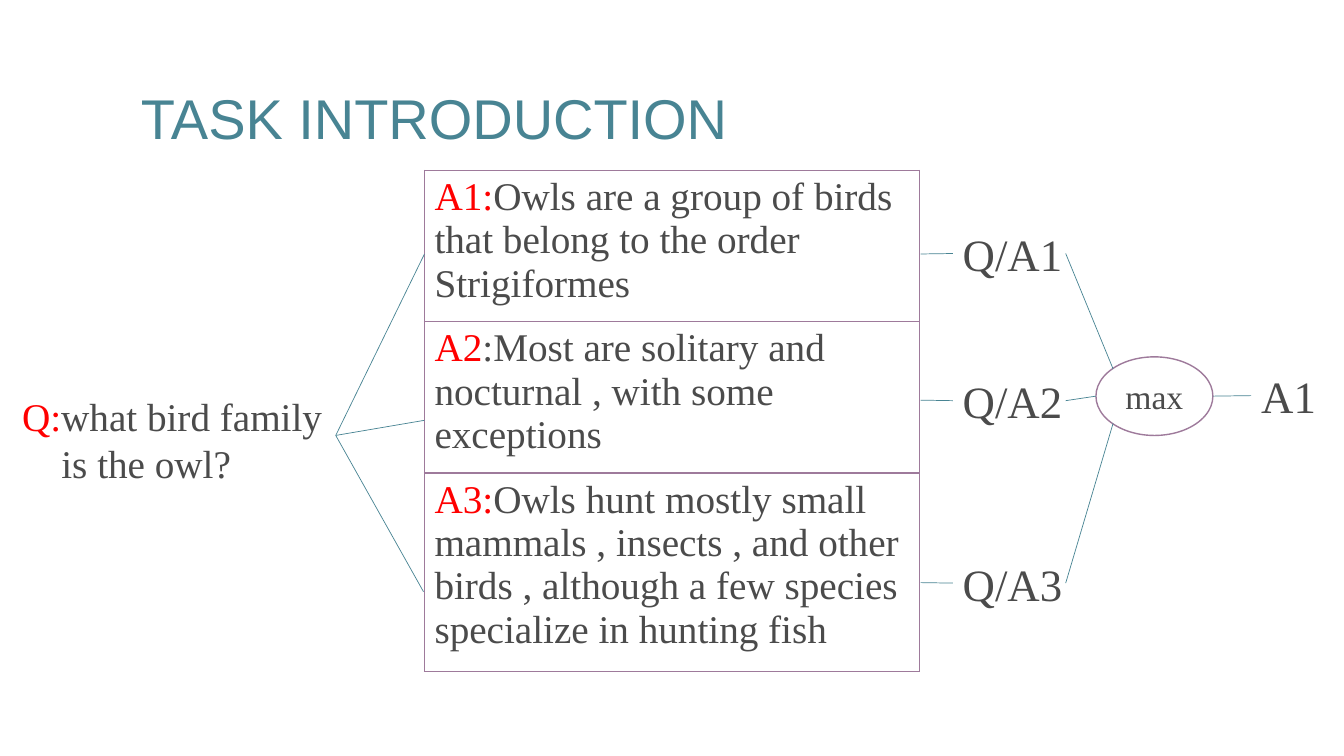
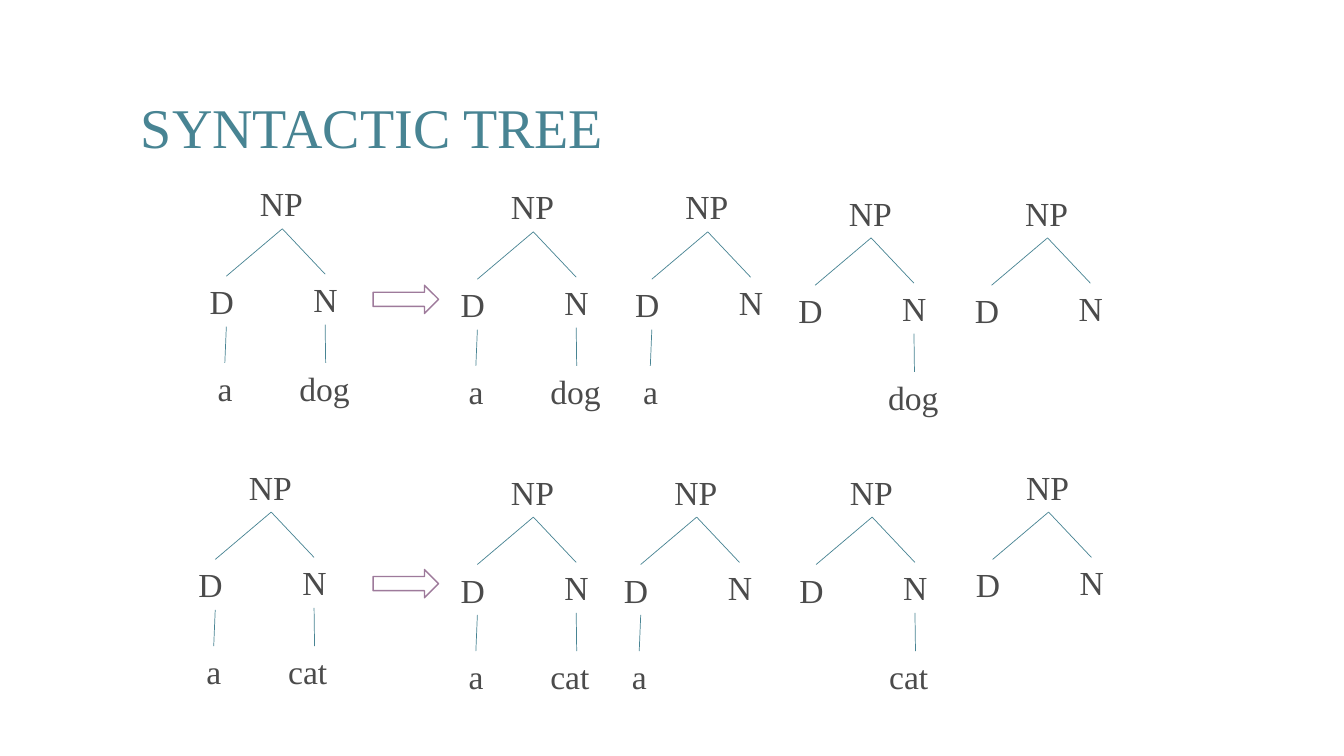
from lxml import etree
from pptx import Presentation
from pptx.dml.color import RGBColor
from pptx.enum.shapes import MSO_CONNECTOR, MSO_SHAPE
from pptx.enum.text import MSO_ANCHOR, PP_ALIGN
from pptx.oxml import parse_xml
from pptx.oxml.ns import nsdecls, qn
from pptx.util import Inches, Pt

STRAIGHT = MSO_CONNECTOR.STRAIGHT
OVAL, RIGHT_ARROW = MSO_SHAPE.OVAL, MSO_SHAPE.RIGHT_ARROW
MIDDLE, CENTER = MSO_ANCHOR.MIDDLE, PP_ALIGN.CENTER
TOP, LEFT, BOTTOM, RIGHT = range(4)
TEAL, PLUM, GREY, RED, WHITE = "488493", "9E7A9B", "4B4B4B", "FF0000", "FFFFFF"
SERIF, SANS = "Times New Roman", "Arial"
LEADING = 1.2


def write_text(frame, text, size=24, font=SERIF, color=GREY, lead="", align=None,
               anchor=None, spacing=None, right_inset=None, indent=0):
    frame.word_wrap = True
    if anchor is not None:
        frame.vertical_anchor = anchor
    if right_inset is not None:
        frame.margin_right = Inches(right_inset)
    for index, line in enumerate(text.split("\n")):
        para = frame.add_paragraph() if index else frame.paragraphs[0]
        para.alignment = align
        para.line_spacing = spacing
        if index and indent:
            para._p.get_or_add_pPr().set("marL", str(Inches(indent)))
        for part, part_color in ((lead if index == 0 else "", RED), (line, color)):
            if part:
                span = para.add_run()
                span.text = part
                span.font.size = Pt(size)
                span.font.name = font
                span.font.color.rgb = RGBColor.from_string(part_color)


def draw_line(canvas, start, end):
    points = [(0, 0) if hasattr(stop[0], "shape_id") else stop for stop in (start, end)]
    (x1, y1), (x2, y2) = points
    line = canvas.add_connector(STRAIGHT, Inches(x1), Inches(y1), Inches(x2), Inches(y2))
    if hasattr(start[0], "shape_id"):
        line.begin_connect(*start)
    if hasattr(end[0], "shape_id"):
        line.end_connect(*end)
    line.line.color.rgb = RGBColor.from_string(TEAL)
    line.line.width = Pt(0.5)
    etree.SubElement(line._element.spPr, qn("a:effectLst"))


deck = Presentation()
deck.slide_width, deck.slide_height = Inches(13.33), Inches(7.5)
pages = []
for title, top, font in (("TASK INTRODUCTION", 0.71, SANS), ("SYNTACTIC TREE", 0.8, SERIF)):
    page = deck.slides.add_slide(deck.slide_layouts[6])
    box = page.shapes.add_textbox(Inches(1.3), Inches(top), Inches(10.73), Inches(0.98))
    write_text(box.text_frame, title, size=40, font=font, color=TEAL, anchor=MIDDLE, spacing=0.9)
    pages.append(page)
task_page, tree_page = pages

outlined = {}
for name, page, kind, place in (
    ("max", task_page, OVAL, (10.87, 3.54, 1.16, 0.78)),
    ("dog arrow", tree_page, RIGHT_ARROW, (3.7, 2.83, 0.65, 0.28)),
    ("cat arrow", tree_page, RIGHT_ARROW, (3.7, 5.65, 0.65, 0.28)),
):
    shape = page.shapes.add_shape(kind, *map(Inches, place))
    shape.shadow.inherit = False
    shape.fill.solid()
    shape.fill.fore_color.rgb = RGBColor.from_string(WHITE)
    shape.line.color.rgb = RGBColor.from_string(PLUM)
    shape.line.width = Pt(1)
    outlined[name] = shape
write_text(outlined["max"].text_frame, "max", align=CENTER, anchor=MIDDLE)

answers = [
    ("A1:", "Owls are a group of birds that belong to the order Strigiformes", 1.39),
    ("A2", ":Most are solitary and nocturnal , with some exceptions", 1.39),
    ("A3:", "Owls hunt mostly small mammals , insects , and other birds , "
            "although a few species specialize in hunting fish", 1.82),
]
table = task_page.shapes.add_table(
    len(answers), 1, Inches(4.21), Inches(1.69), Inches(4.91), Inches(4.6)).table
table.first_row = table.horz_banding = False
for row, (lead, answer, height) in enumerate(answers):
    table.rows[row].height = Inches(height)
    cell = table.cell(row, 0)
    write_text(cell.text_frame, answer, size=28, lead=lead)
    cell.fill.solid()
    cell.fill.fore_color.rgb = RGBColor.from_string(WHITE)
    for position, side in enumerate(("lnL", "lnR", "lnT", "lnB")):
        border = parse_xml(
            f'<a:{side} {nsdecls("a")} w="{Pt(1)}"><a:solidFill>'
            f'<a:srgbClr val="{PLUM}"/></a:solidFill></a:{side}>')
        cell._tc.get_or_add_tcPr().insert(position, border)

labels = {}
for name, text, lead, size, place in (
    ("question", "what bird family\nis the owl?", "Q:", 28, (0.12, 3.84, 3.21, 0.96)),
    ("pair 1", "Q/A1", "", 32, (9.45, 2.2, 1.12, 0.63)),
    ("pair 2", "Q/A2", "", 32, (9.45, 3.66, 1.12, 0.63)),
    ("pair 3", "Q/A3", "", 32, (9.45, 5.47, 1.12, 0.63)),
    ("best", "A1", "", 32, (12.41, 3.61, 0.92, 0.63)),
):
    box = task_page.shapes.add_textbox(*map(Inches, place))
    write_text(box.text_frame, text, size=size, lead=lead, right_inset=0,
               spacing=Pt(size * LEADING), indent=0.39)
    labels[name] = box

for number, answer_end, row_y, max_end in (
    (1, (4.21, 2.52), 2.52, (11.04, 3.66)),
    (2, (4.21, 4.17), 3.97, (10.87, 3.93)),
    (3, (4.2, 5.87), 5.78, (11.04, 4.2)),
):
    pair = labels[f"pair {number}"]
    draw_line(task_page.shapes, (labels["question"], RIGHT), answer_end)
    draw_line(task_page.shapes, (9.13, row_y), (pair, LEFT))
    draw_line(task_page.shapes, (pair, RIGHT), max_end)
draw_line(task_page.shapes, (12.03, 3.93), (labels["best"], LEFT))

nodes = {
    "NP": (0.5, 0, 0.64),
    "D": (0, 0.97, 0.53),
    "N": (1.03, 0.95, 0.43),
    "a": (0.08, 1.83, 0.34),
    "dog": (0.89, 1.83, 0.72),
    "cat": (0.89, 1.83, 0.72),
}
branches = [("NP", "D"), ("NP", "N"), ("D", "a"), ("N", "dog"), ("N", "cat")]
trees = [
    (1.98, 1.77, ("a", "dog")),
    (4.47, 1.8, ("a", "dog")),
    (6.2, 1.8, ("a",)),
    (7.82, 1.86, ("dog",)),
    (9.57, 1.86, ()),
    (1.87, 4.58, ("a", "cat")),
    (4.47, 4.63, ("a", "cat")),
    (6.09, 4.63, ("a",)),
    (7.83, 4.63, ("cat",)),
    (9.58, 4.58, ()),
]
for left, top, leaves in trees:
    canvas = tree_page.shapes.add_group_shape().shapes
    boxes = {}
    for word in ("NP", "D", "N") + leaves:
        x, y, width = nodes[word]
        box = canvas.add_textbox(Inches(left + x), Inches(top + y), Inches(width), Inches(0.5))
        write_text(box.text_frame, word, right_inset=0, spacing=Pt(24 * LEADING))
        boxes[word] = box
    for parent, child in branches:
        if child in boxes:
            draw_line(canvas, (boxes[parent], BOTTOM), (boxes[child], TOP))

deck.save("out.pptx")
